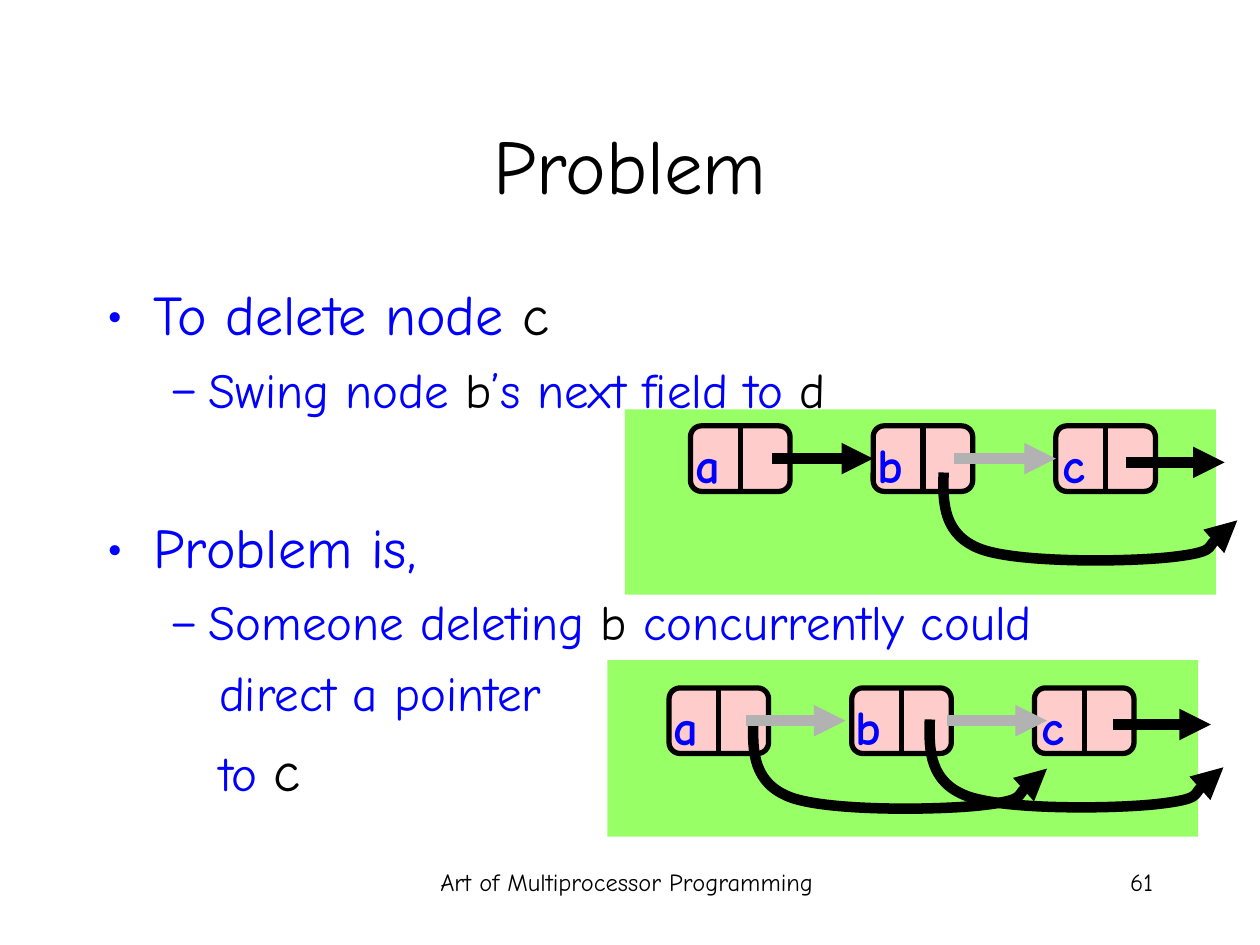
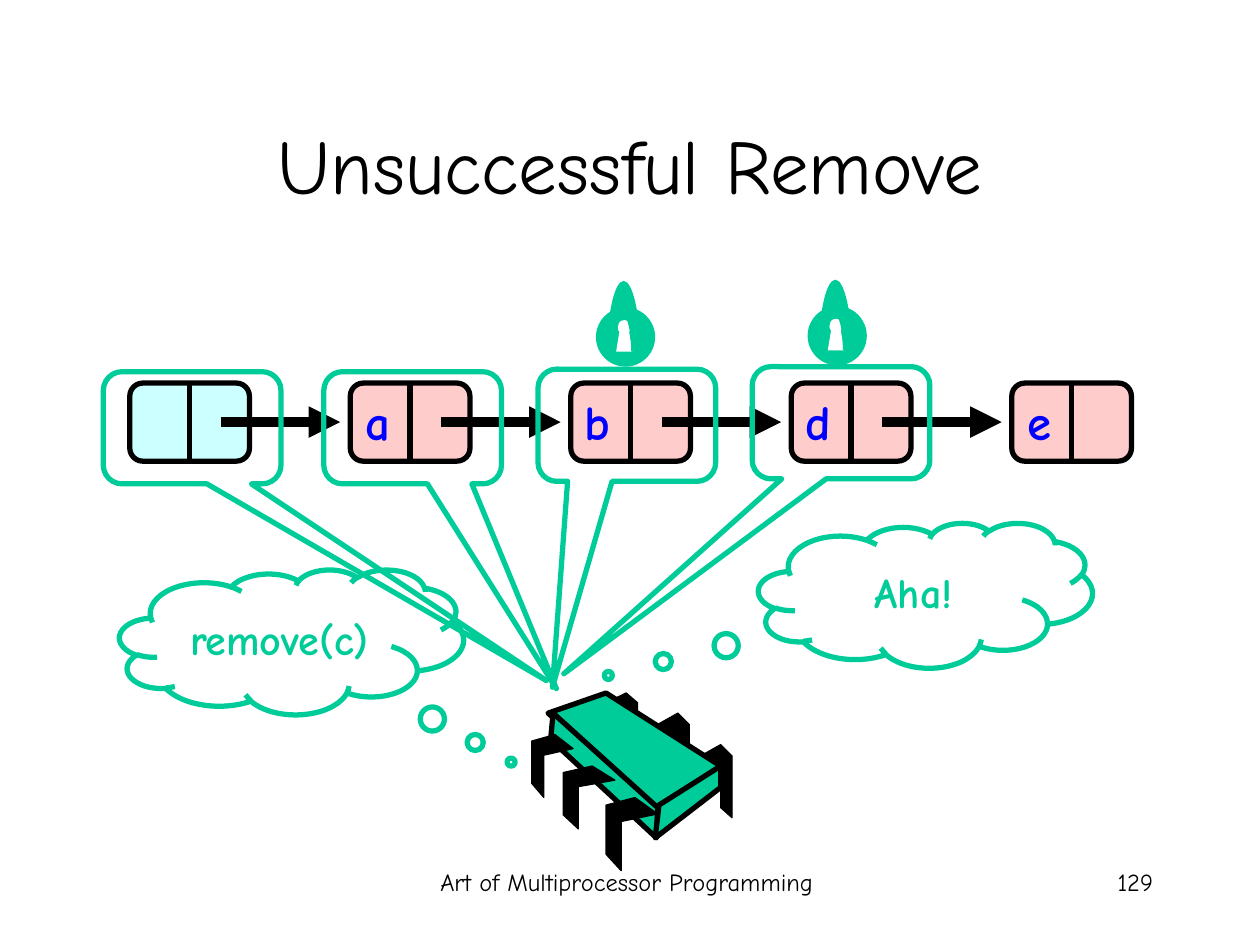
"""Build two lecture slides on concurrent linked lists."""
from lxml.etree import SubElement
from pptx import Presentation
from pptx.dml.color import RGBColor
from pptx.enum.shapes import MSO_CONNECTOR, MSO_SHAPE as Shape
from pptx.enum.text import MSO_ANCHOR as Anchor, MSO_AUTO_SIZE as AutoSize, PP_ALIGN as Align
from pptx.oxml.ns import qn
from pptx.util import Inches, Pt

COLORS = {
    "black": "000000", "white": "FFFFFF", "blue": "0000FF", "gray": "B2B2B2",
    "panel": "99FF66", "node": "FFCCCC", "head": "CCFFFF", "thread": "00CC99",
}
FONT = "Comic Neue"

SWING = [(0, 0), (-.01, .25), (0, .5), (.3, .61), (.61, .72), (1.48, .71),
         (1.82, .67), (2.16, .63), (2.22, .44), (2.33, .38)]
KEYHOLE = [(.16, .35), (.19, .17), (.26, .17), (.29, .35)]
SHACKLE = [(.16, .35), (.16, .19), (.18, .07), (.22, .07), (.25, .07), (.28, .19), (.28, .35),
           (.35, .35), (.35, .04), (.29, -.21), (.22, -.21), (.15, -.21), (.09, .04), (.09, .35)]
REAR_LEG = [(0, .09), (.16, 0), (.25, .09), (.25, .58), (.16, .5), (.16, .17), (0, .25)]
FRONT_LEG = [(.23, 0), (.41, .13), (.12, .19), (.12, .58), (0, .45), (0, .06)]
REAR_LEGS = [(5.56, 5.91, 1, 1), (5.22, 5.66, 1, 1), (4.81, 5.5, 1, .86)]
FRONT_LEGS = [(4.81, 6.33, 1, 1), (4.47, 6.08, 1, .86), (4.22, 5.83, .8, .86)]
CHIP_FACES = [
    [(4.81, 5.5), (5.72, 6.08), (5.21, 6.42), (4.35, 5.66)],
    [(4.39, 5.66), (5.22, 6.41), (5.21, 6.65), (4.37, 5.87)],
    [(5.72, 6.08), (5.72, 6.25), (5.2, 6.65), (5.23, 6.39)],
]


def rgb(name):
    return RGBColor.from_string(COLORS[name])


def placed(points, left, top, across=1, down=1):
    return [(left + x * across, top + y * down) for x, y in points]


def bend(shape, segments):
    """Merge line triples into cubic curves; segments spells C for curve, L for line."""
    lines = iter(list(shape._element.iter(qn("a:lnTo"))))
    for segment in segments:
        line = next(lines)
        if segment == "C":
            line.tag = qn("a:cubicBezTo")
            for _ in range(2):
                extra = next(lines)
                line.append(extra[0])
                extra.getparent().remove(extra)


def add_span(para, text, size=14, color="black", bold=False):
    span = para.add_run()
    span.text = text
    span.font.name, span.font.size, span.font.bold = FONT, Pt(size), bold
    span.font.color.rgb = rgb(color)


def set_bullet(para, symbol, margin, hanging):
    props = para._p.get_or_add_pPr()
    props.set("marL", str(Inches(margin)))
    props.set("indent", str(-Inches(hanging)))
    if symbol:
        color = SubElement(props, qn("a:buClr"))
        SubElement(color, qn("a:srgbClr"), val=COLORS["blue"])
        SubElement(props, qn("a:buFont"), typeface=FONT)
        SubElement(props, qn("a:buChar"), char=symbol)
    else:
        SubElement(props, qn("a:buNone"))


class Sheet:
    """Draw styled elements on the current slide."""

    def __init__(self, deck):
        self.deck = deck

    def start(self, title, number):
        self.page = self.deck.slides.add_slide(self.deck.slide_layouts[6])
        self.ungroup()
        self.text("Art of Multiprocessor Programming", 3.1, 6.83, 3.75, .5)
        self.text(number, 7.17, 6.83, 2.08, .5, align=Align.RIGHT)
        self.title = title

    def add_title(self):
        self.text(self.title, .75, .67, 8.5, 1.25, size=44, anchor=Anchor.MIDDLE)

    def group(self):
        self.shapes = self.page.shapes.add_group_shape().shapes

    def ungroup(self):
        self.shapes = self.page.shapes

    def text(self, text, left, top, width, height, align=Align.CENTER,
             anchor=Anchor.TOP, wrap=True, **style):
        box = self.shapes.add_textbox(Inches(left), Inches(top), Inches(width), Inches(height))
        frame = box.text_frame
        frame.word_wrap, frame.vertical_anchor = wrap, anchor
        if not wrap:
            frame.auto_size = AutoSize.SHAPE_TO_FIT_TEXT
        frame.paragraphs[0].alignment = align
        if text:
            add_span(frame.paragraphs[0], text, **style)
        return frame

    def body(self, items):
        frame = self.text("", .75, 2.17, 8.5, 4.5, align=Align.LEFT)
        for index, (symbol, margin, hanging, size, space, spans) in enumerate(items):
            para = frame.add_paragraph() if index else frame.paragraphs[0]
            para.level = 0 if symbol == "•" else 1
            set_bullet(para, symbol, margin, hanging)
            para.space_before = Pt(space)
            for text, style in spans:
                add_span(para, text, **{"size": size, "color": "blue", **style})

    def paint(self, shape, fill=None, line=None, weight=3):
        shape.shadow.inherit = False
        if fill:
            shape.fill.solid()
            shape.fill.fore_color.rgb = rgb(fill)
        else:
            shape.fill.background()
        if line:
            shape.line.color.rgb = rgb(line)
            shape.line.width = Pt(weight)
        else:
            shape.line.fill.background()
        return shape

    def shape(self, kind, left, top, width, height, adjust=(), **look):
        shape = self.shapes.add_shape(kind, Inches(left), Inches(top),
                                      Inches(width), Inches(height))
        for index, value in enumerate(adjust):
            shape.adjustments[index] = value
        return self.paint(shape, **look)

    def outline(self, points, closed=True, segments="", **look):
        first, *rest = [(Inches(x), Inches(y)) for x, y in points]
        builder = self.shapes.build_freeform(*first)
        builder.add_line_segments(rest, close=closed)
        shape = builder.convert_to_shape()
        bend(shape, segments)
        return self.paint(shape, **look)

    def arrowhead(self, shape):
        SubElement(shape._element.spPr.find(qn("a:ln")), qn("a:tailEnd"), type="triangle")

    def line(self, x1, y1, x2, y2, color="black", weight=3):
        line = self.shapes.add_connector(MSO_CONNECTOR.STRAIGHT, Inches(x1), Inches(y1),
                                         Inches(x2), Inches(y2))
        line.line.color.rgb, line.line.width = rgb(color), Pt(weight)
        SubElement(line._element.spPr, qn("a:effectLst"))
        return line

    def arrow(self, left, y, length=.79, color="black", target=None):
        arrow = self.line(left, y, left + length, y, color, weight=6)
        self.arrowhead(arrow)
        if target is not None:
            arrow.end_connect(target, 1)

    def swing(self, left, top):
        self.arrowhead(self.outline(placed(SWING, left, top), closed=False, segments="CCC",
                                    line="black", weight=6))

    def node(self, label, left, top, width, height, fill="node"):
        self.group()
        node = self.shape(Shape.ROUNDED_RECTANGLE, left, top, width, height,
                          [.167], fill=fill, line="black")
        middle = left + width / 2
        divider = self.line(middle, top, middle, top + height)
        divider.begin_connect(node, 0)
        divider.end_connect(node, 2)
        if label:
            self.text(label, middle - .46, top + .02, .4, .57, align=Align.RIGHT,
                      wrap=False, size=28, color="blue", bold=True)
        self.ungroup()
        return node

    def lock(self, left, top):
        self.group()
        self.shape(Shape.OVAL, left, top, .47, .47, fill="thread")
        self.shape(Shape.OVAL, left + .17, top + .1, .11, .11, fill="white")
        self.outline(placed(KEYHOLE, left, top), fill="white")
        self.outline(placed(SHACKLE, left, top), segments="CCLCC", fill="thread")
        self.ungroup()

    def legs(self, leg, places):
        for place in places:
            self.outline(placed(leg, *place), fill="black", line="black", weight=.75)

    def chip(self):
        self.group()
        self.legs(REAR_LEG, REAR_LEGS)
        for face in CHIP_FACES:
            self.outline(face, fill="thread", line="black")
        self.legs(FRONT_LEG, FRONT_LEGS)
        self.ungroup()

    def callout(self, left, top, tip_x, tip_y):
        self.shape(Shape.ROUNDED_RECTANGULAR_CALLOUT, left, top, 1.41, .89,
                   [tip_x, tip_y, .167], line="thread")

    def thought(self, text, left, top, width, tip):
        cloud = self.shape(Shape.CLOUD_CALLOUT, left, top, width, 1.15, tip, line="thread")
        frame = cloud.text_frame
        frame.word_wrap, frame.vertical_anchor = True, Anchor.MIDDLE
        frame.paragraphs[0].alignment = Align.CENTER
        add_span(frame.paragraphs[0], text, size=24, color="thread", bold=True)


def problem_slide(sheet):
    sheet.start("Problem", "61")
    sheet.shape(Shape.RECTANGLE, 4.82, 5.24, 4.69, 1.4, fill="panel")
    sheet.shape(Shape.RECTANGLE, 4.96, 3.25, 4.69, 1.47, fill="panel")
    sheet.add_title()
    name = {"color": "black"}
    sheet.body([
        ("•", .37, .37, 32, 0, [("To delete node ", {}), ("c", name)]),
        ("–", .81, .31, 28, 7, [("Swing node ", {}), ("b", name),
                                ("’s next field to ", {}), ("d", name)]),
        ("•", .37, .37, 32, 54, [("Problem is,", {})]),
        ("–", .81, .31, 28, 7, [("Someone deleting ", {}), ("b", name),
                                (" concurrently could", {})]),
        ("", .89, 0, 28, 7, [("direct a pointer", {})]),
        ("", .89, 0, 28, 8, [("to ", {}), ("c", {"size": 32, **name})]),
    ])
    upper, lower = [[sheet.node(label, left + 1.45 * index, top, .79, .52)
                     for index, label in enumerate("abc")]
                    for left, top in [(5.48, 3.38), (5.31, 5.46)]]
    sheet.swing(7.49, 3.75)
    sheet.arrow(6.13, 3.64, target=upper[1])
    sheet.swing(5.98, 5.72)
    sheet.swing(7.38, 5.71)
    sheet.arrow(7.52, 5.72, color="gray")
    sheet.arrow(7.57, 3.64, color="gray", target=upper[2])
    sheet.arrow(8.94, 3.67, length=.78)
    sheet.arrow(8.83, 5.75, length=.78)
    sheet.arrow(5.92, 5.72, color="gray")


def remove_slide(sheet):
    sheet.start("Unsuccessful Remove", "129")
    sheet.add_title()
    sheet.shape(Shape.OVAL, 6.47, 4.86, 1.09, 1.17, fill="white", line="white", weight=1)
    lefts = [1.03 + 1.75 * index for index in range(5)]
    for left, label in zip(lefts, ["", "a", "b", "d", "e"]):
        sheet.node(label, left, 3.04, .95, .62, fill="node" if label else "head")
    for left in lefts[:-1]:
        sheet.arrow(left + .72, 3.35, length=.95)
    sheet.lock(6.41, 2.43)
    sheet.chip()
    for callout in [(.82, 2.95, 1.994, 2.254), (2.57, 2.95, .809, 2.325),
                    (4.27, 2.93, -.419, 2.336), (5.97, 2.91, -1.561, 2.239)]:
        sheet.callout(*callout)
    sheet.lock(4.73, 2.44)
    sheet.thought("remove(c)", .95, 4.52, 2.73, (.638, .829))
    sheet.thought("Aha!", 6.02, 4.15, 2.65, (-.95, .553))


def main():
    deck = Presentation()
    deck.slide_width, deck.slide_height = Inches(10), Inches(7.5)
    sheet = Sheet(deck)
    problem_slide(sheet)
    remove_slide(sheet)
    deck.save("out.pptx")


if __name__ == "__main__":
    main()
